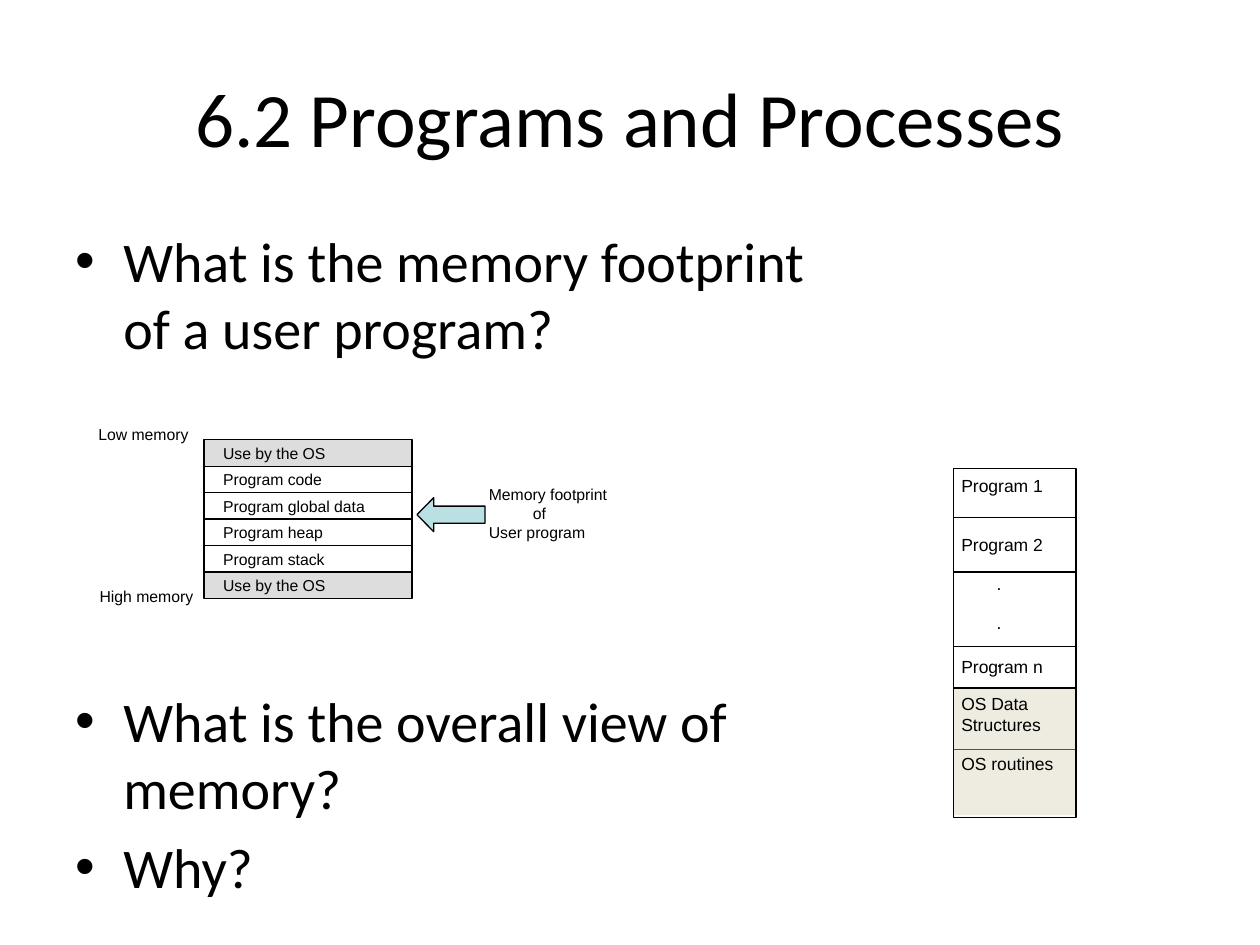
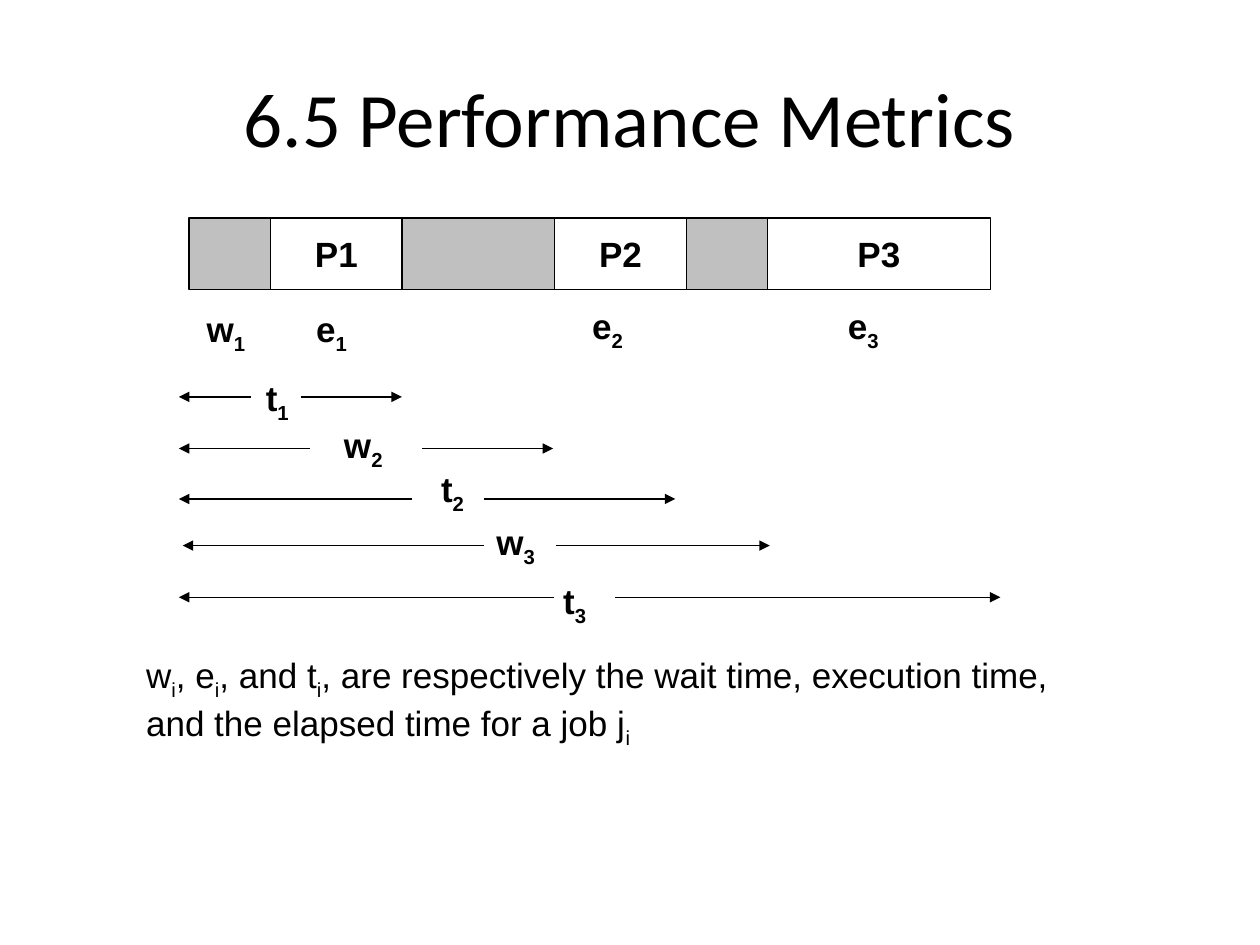
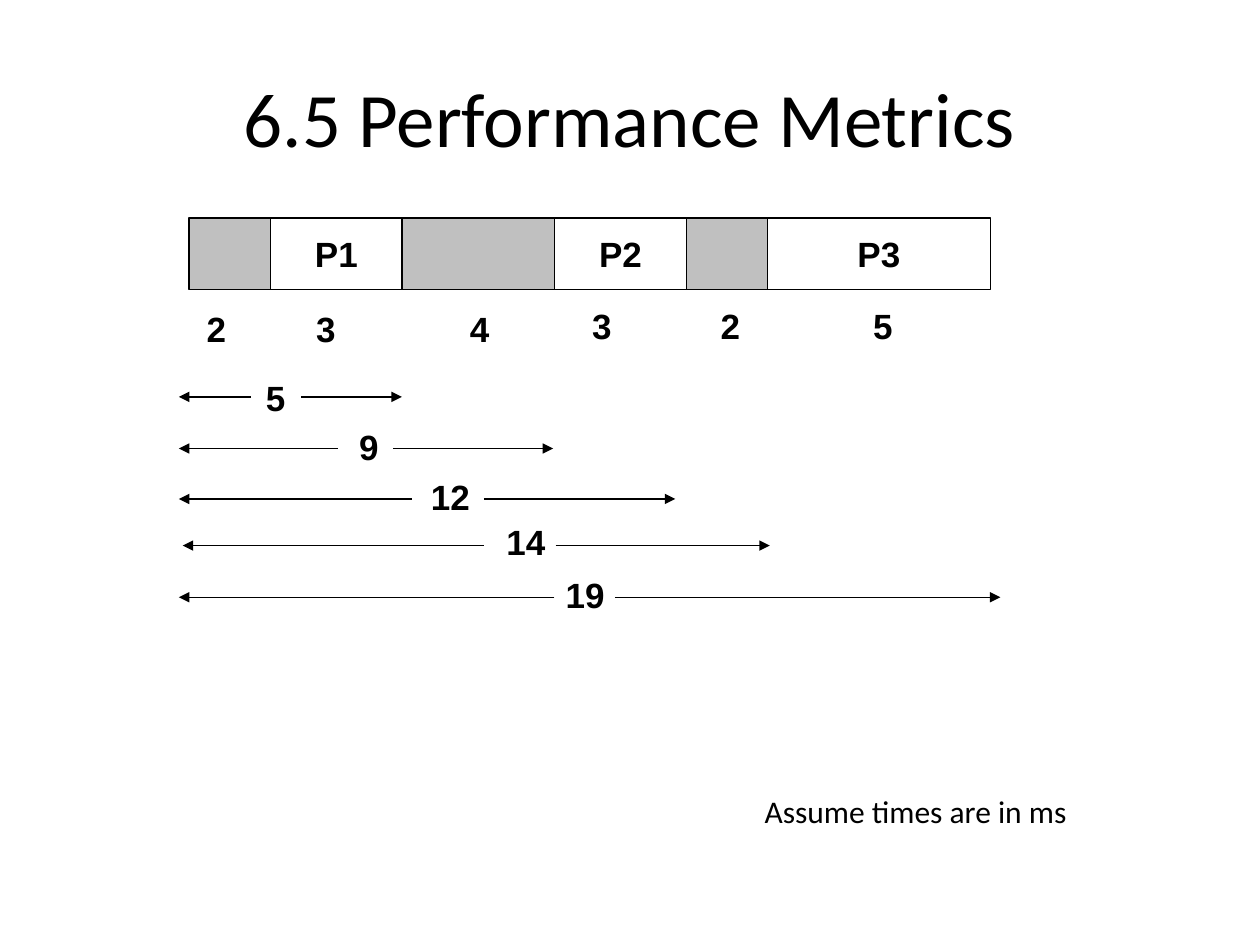
import pptx
import pptx.util
import pptx.dml.color
import pptx.enum.shapes
import pptx.enum.text
import pptx.oxml.ns
import lxml.etree

Inches = pptx.util.Inches
Pt = pptx.util.Pt
hue = pptx.dml.color.RGBColor.from_string
Shape = pptx.enum.shapes.MSO_SHAPE
Align = pptx.enum.text.PP_ALIGN
Anchor = pptx.enum.text.MSO_ANCHOR
qn = pptx.oxml.ns.qn

BLACK = "000000"
GREY = "C0C0C0"
PALE = "DDDDDD"
CREAM = "EEECE1"
AQUA = "BBE0E3"
THIN = 0.75
SMALL = (0.05, 0.03)
PAD = (0.06, 0.03)
TITLE = dict(size=44, font="Calibri", mid=True, align=Align.CENTER)
LABEL = dict(size=20, bold=True, after=10)


def text(page, words, box, kind=None, fill=None, edge=None, size=10,
         font="Arial", bold=False, align=Align.LEFT, mid=False, pad=PAD,
         left=None, wrap=True, before=(), after=0, shift=(), bullet=False):
    """Add a text box or a shape; text between underscores is subscript."""
    place = [Inches(v) for v in box]
    if kind is None:
        item = page.shapes.add_textbox(*place)
    else:
        item = page.shapes.add_shape(kind, *place)
        item.shadow.inherit = False
        item.fill.background()
        item.line.fill.background()
        if fill:
            item.fill.solid()
            item.fill.fore_color.rgb = hue(fill)
        if edge:
            item.line.color.rgb = hue(edge)
            item.line.width = Pt(THIN)
    frame = item.text_frame
    frame.word_wrap = wrap
    frame.vertical_anchor = Anchor.MIDDLE if mid else Anchor.TOP
    frame.margin_left = Inches(pad[0] if left is None else left)
    frame.margin_right = Inches(pad[0])
    frame.margin_top = frame.margin_bottom = Inches(pad[1])
    for i, row in enumerate(words.split("\n")):
        para = frame.paragraphs[0] if i == 0 else frame.add_paragraph()
        para.alignment = align
        para.space_before = Pt(before[i] if before else 0)
        para.space_after = Pt(after)
        props = para._p.get_or_add_pPr()
        if shift:
            props.set("marL", str(Inches(shift[i])))
        if bullet:
            props.set("marL", str(Inches(0.38)))
            props.set("indent", str(Inches(-0.38)))
            face = lxml.etree.SubElement(props, qn("a:buFont"))
            face.set("typeface", "Arial")
            mark = lxml.etree.SubElement(props, qn("a:buChar"))
            mark.set("char", "\u2022")
        for j, part in enumerate(row.split("_")):
            if not part:
                continue
            run = para.add_run()
            run.text = part
            run.font.size = Pt(size)
            run.font.name = font
            run.font.bold = bold
            run.font.color.rgb = hue(BLACK)
            if j % 2:
                run._r.get_or_add_rPr().set("baseline", "-25000")
    return item


def line(page, x1, y1, x2, y2, width=THIN, arrow=False):
    """Draw a straight line, with an arrowhead at its end if asked."""
    item = page.shapes.add_connector(
        pptx.enum.shapes.MSO_CONNECTOR.STRAIGHT,
        Inches(x1), Inches(y1), Inches(x2), Inches(y2))
    item.line.color.rgb = hue(BLACK)
    item.line.width = Pt(width)
    if arrow:
        head = lxml.etree.SubElement(item.get_or_add_ln(), qn("a:tailEnd"))
        head.set("type", "triangle")
    lxml.etree.SubElement(item._element.spPr, qn("a:effectLst"))


deck = pptx.Presentation()
deck.slide_width = Inches(10)
deck.slide_height = Inches(7.5)
pages = []
for name in ("6.2 Programs and Processes", "6.5 Performance Metrics",
             "6.5 Performance Metrics"):
    page = deck.slides.add_slide(deck.slide_layouts[6])
    text(page, name, (0.5, 0.3, 9, 1.25), pad=(0.1, 0.05), **TITLE)
    pages.append(page)

# Slide 1: questions, with a gap for the footprint diagram
page = pages[0]
text(page, "What is the memory footprint of a user program?\n"
     "What is the overall view of memory?\nWhy?",
     (0.5, 1.75, 6.38, 5.35), size=32, font="Calibri", pad=(0.1, 0.05),
     before=(6.4, 186, 6.4), bullet=True)

# Footprint of one program
parts = ["Use by the OS", "Program code", "Program global data",
         "Program heap", "Program stack", "Use by the OS"]
for i, part in enumerate(parts):
    text(page, part, (1.62, 3.49 + 0.21 * i, 1.65, 0.21), Shape.RECTANGLE,
         fill=PALE if i in (0, len(parts) - 1) else None, edge=BLACK,
         size=9, pad=SMALL, left=0.15)
text(page, "Low memory", (0.73, 3.34, 0.89, 0.2), size=9, pad=SMALL)
text(page, "High memory", (0.74, 4.63, 0.97, 0.2), size=9, pad=SMALL)
arrow = text(page, "", (3.31, 3.95, 0.54, 0.27), Shape.LEFT_ARROW,
             fill=AQUA, edge=BLACK)
arrow.adjustments[1] = 0.49
text(page, "Memory footprint\nof\nUser program", (3.83, 3.82, 1.15, 0.76),
     size=9, pad=SMALL, shift=(0, 0.35, 0))

# Overall view of memory
x, wide = 7.57, 0.97
for part, y in (("Program 1", 3.74), ("Program 2", 4.21),
                ("Program n", 5.18)):
    text(page, part, (x, y, 0.88, 0.23), after=10)
text(page, ".\n.\n.", (7.85, 4.52, 0.16, 0.58), after=10)
for y, width in ((4.11, THIN), (4.54, THIN), (5.13, THIN), (5.47, 3)):
    line(page, x, y, x + wide, y, width)
text(page, "OS Data\nStructures", (x, 5.47, wide, 0.48), Shape.RECTANGLE,
     fill=CREAM)
line(page, x, 5.95, x + wide, 5.95)
text(page, "OS routines", (x, 5.95, wide, 0.52), Shape.RECTANGLE, fill=CREAM)
text(page, "", (x, 3.72, wide, 2.77), Shape.RECTANGLE, edge=BLACK)

# Slides 2 and 3: the same time line, with symbols and then with values
edges = [1.5, 2.15, 3.19, 4.4, 5.45, 6.09, 7.86]
jobs = ["", "P1", "", "P2", "", "P3"]
spans = [(3.15, 1.42, 1.99, 2.39, 3.19), (3.56, 1.42, 2.46, 3.35, 4.39),
         (3.96, 1.42, 3.27, 3.84, 5.36), (4.33, 1.45, 3.84, 4.41, 6.11),
         (4.74, 1.42, 4.4, 4.88, 7.94)]
signs = [("w_1", 1.58, 2.41), ("e_1", 2.45, 2.41), ("e_2", 4.64, 2.39),
         ("e_3", 6.67, 2.39), ("t_1", 2.05, 2.96), ("w_2", 2.67, 3.33),
         ("t_2", 3.44, 3.68), ("w_3", 3.88, 4.1), ("t_3", 4.41, 4.57)]
times = [("2", 1.58, 2.41), ("3", 2.45, 2.41), ("4", 3.67, 2.41),
         ("3", 4.64, 2.39), ("2", 5.66, 2.39), ("5", 6.87, 2.39),
         ("5", 2.05, 2.96), ("9", 2.79, 3.35), ("12", 3.36, 3.74),
         ("14", 3.96, 4.1), ("19", 4.43, 4.52)]
gaps = {3.56: (2.68, 3.12)}
for page, labels, wider in ((pages[1], signs, {}), (pages[2], times, gaps)):
    for job, start, end in zip(jobs, edges, edges[1:]):
        text(page, job, (start, 1.73, end - start, 0.57), Shape.RECTANGLE,
             fill=None if job else GREY, edge=BLACK, mid=True,
             align=Align.CENTER, **LABEL)
    for label, x, y in labels:
        text(page, label, (x, y, 0.65, 0.46), **LABEL)
    for y, start, near, far, end in spans:
        near, far = wider.get(y, (near, far))
        line(page, near, y, start, y, arrow=True)
        line(page, far, y, end, y, arrow=True)

text(pages[1], "w_i_, e_i_, and t_i_, are respectively the wait time, "
     "execution time, and the elapsed time for a job j_i",
     (1.1, 5.16, 7.8, 0.8), size=20, after=10)
text(pages[2], "Assume times are in ms", (5.97, 6.24, 2.63, 0.4), size=18,
     font="Calibri", pad=(0.1, 0.05), wrap=False)

deck.save("out.pptx")
